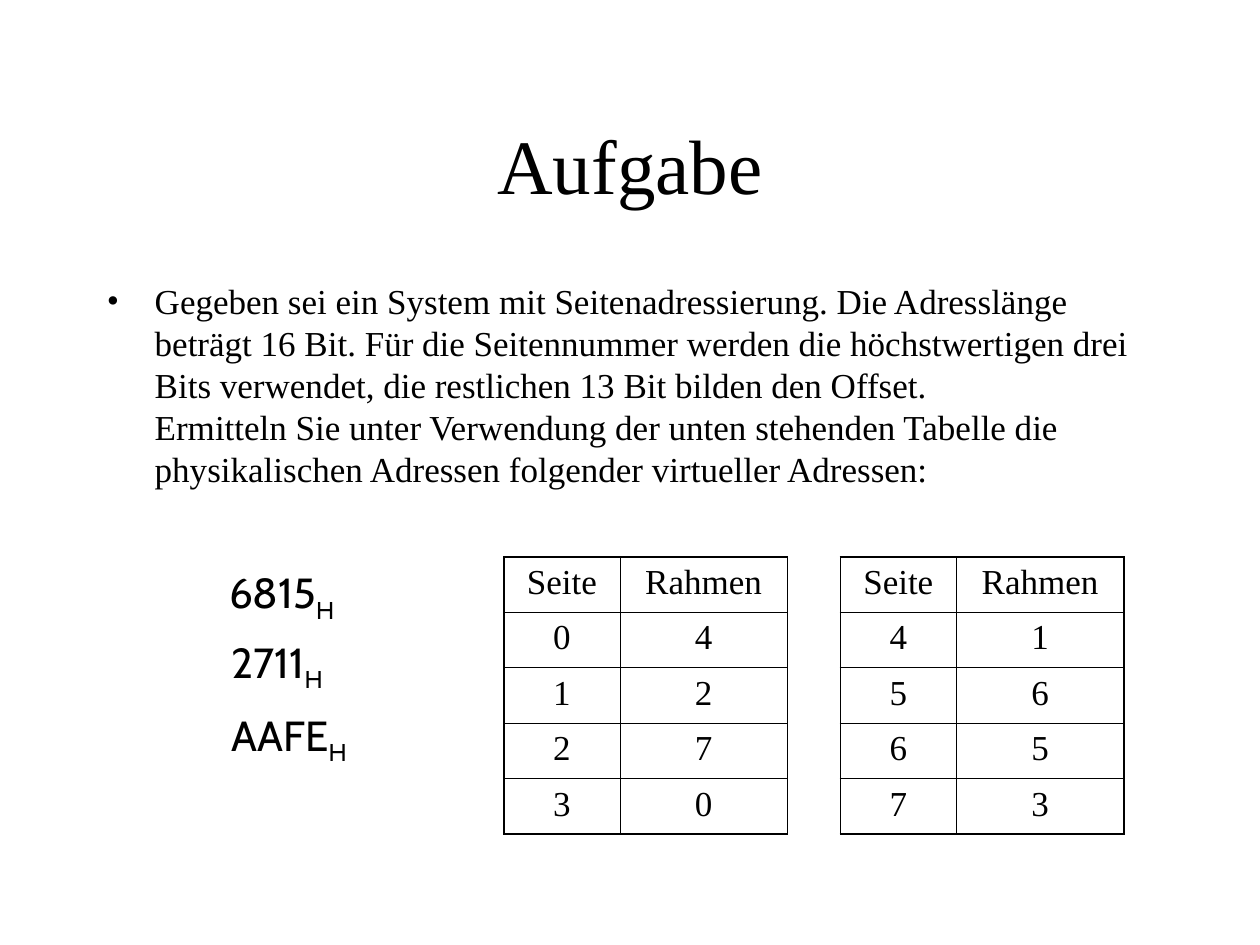
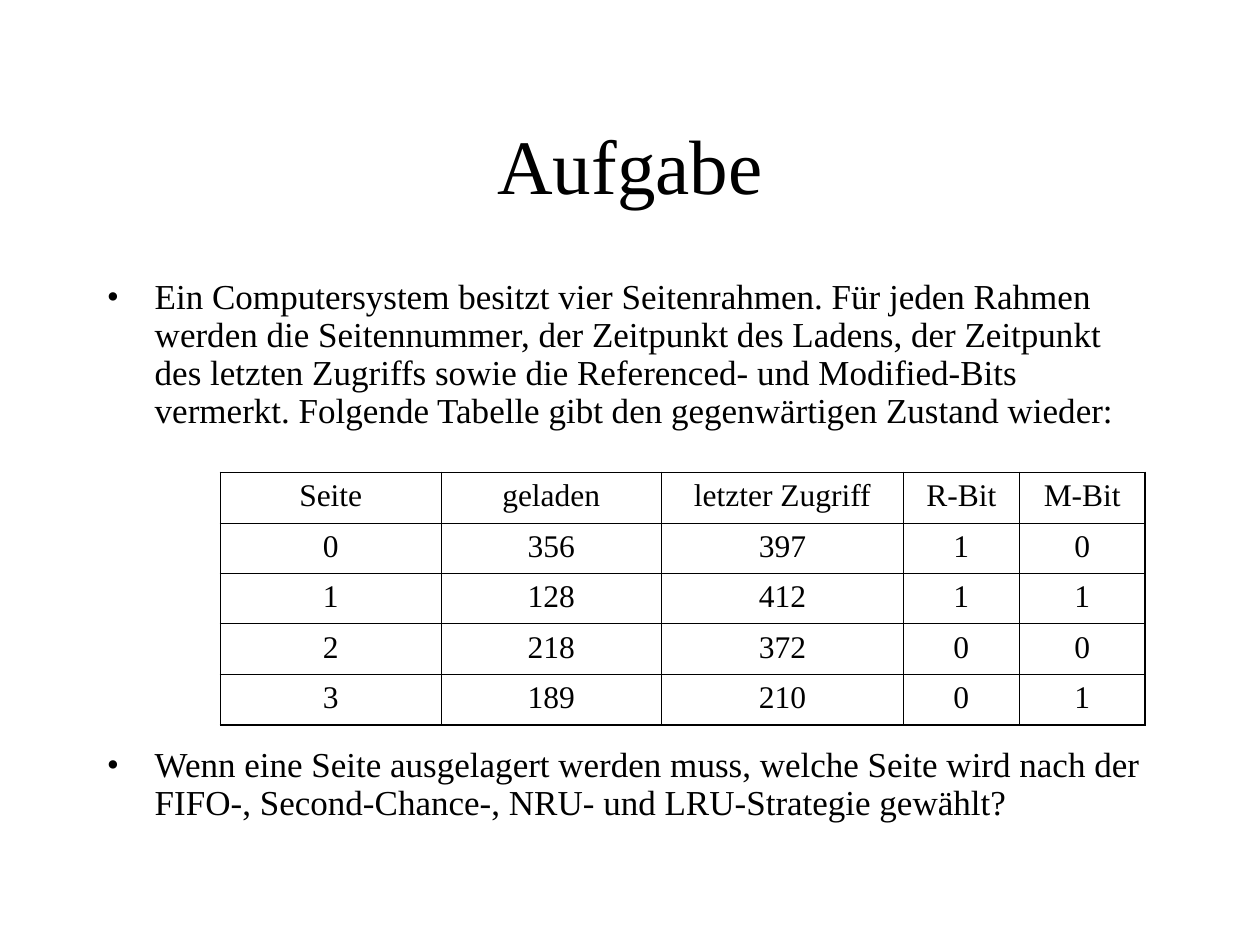
from lxml.etree import SubElement
from pptx import Presentation
from pptx.dml.color import RGBColor
from pptx.enum.text import MSO_ANCHOR as Anchor, MSO_AUTO_SIZE as AutoSize, PP_ALIGN as Align
from pptx.oxml import parse_xml
from pptx.oxml.ns import nsdecls, qn
from pptx.util import Inches, Pt

BLACK = RGBColor(0, 0, 0)
WHITE = RGBColor(255, 255, 255)
SERIF = "Times New Roman"
SANS = "Cabin"
OUTER_LINE = Pt(1.08)
INNER_LINE = Pt(0.45)


class Deck:
    def __init__(self):
        self.presentation = Presentation()
        self.presentation.slide_width = Inches(10)
        self.presentation.slide_height = Inches(7.5)
        self.slide = None

    def add_slide(self, title):
        self.slide = self.presentation.slides.add_slide(self.presentation.slide_layouts[6])
        self.slide.background.fill.solid()
        self.slide.background.fill.fore_color.rgb = WHITE
        frame = self.add_text_frame(0.75, 0.67, 8.5, 1.25)
        frame.vertical_anchor = Anchor.MIDDLE
        frame.text = title
        frame.paragraphs[0].alignment = Align.CENTER
        self.style_runs(frame.paragraphs[0], 44)

    def add_text_frame(self, left, top, width, height):
        shape = self.slide.shapes.add_textbox(
            Inches(left), Inches(top), Inches(width), Inches(height))
        shape.text_frame.word_wrap = True
        return shape.text_frame

    def style_runs(self, paragraph, size, font=SERIF):
        for run in paragraph.runs:
            run.font.size = Pt(size)
            run.font.name = font
            run.font.color.rgb = BLACK

    def add_bullets(self, bullets, line_spacing=1.0):
        frame = self.add_text_frame(0.75, 2.17, 8.5, 4.5)
        for index, (text, space_before) in enumerate(bullets):
            paragraph = frame.add_paragraph() if index else frame.paragraphs[0]
            paragraph.text = text
            paragraph.line_spacing = line_spacing
            paragraph.space_before = Pt(space_before)
            self.style_runs(paragraph, 20)
            properties = paragraph._p.get_or_add_pPr()
            properties.set("marL", str(Inches(0.38)))
            properties.set("indent", str(-Inches(0.38)))
            SubElement(properties, qn("a:buFont"), typeface=SERIF)
            SubElement(properties, qn("a:buChar"), char="•")

    def add_hex_address(self, left, top, width, digits):
        frame = self.add_text_frame(left, top, width, 0.56)
        frame.word_wrap = False
        frame.auto_size = AutoSize.SHAPE_TO_FIT_TEXT
        paragraph = frame.paragraphs[0]
        paragraph.text = digits
        subscript = paragraph.add_run()
        subscript.text = "H"
        self.style_runs(paragraph, 24, SANS)
        subscript.font._element.set("baseline", "-25000")

    def add_table(self, left, top, column_widths, row_height, rows, size):
        table = self.slide.shapes.add_table(
            len(rows), len(column_widths), Inches(left), Inches(top),
            Inches(sum(column_widths)), Inches(row_height * len(rows))).table
        table.first_row = table.horz_banding = False
        for column, width in zip(table.columns, column_widths):
            column.width = Inches(width)
        last_row, last_column = len(rows) - 1, len(column_widths) - 1
        for row_index, values in enumerate(rows):
            table.rows[row_index].height = Inches(row_height)
            for column_index, value in enumerate(values):
                cell = table.cell(row_index, column_index)
                cell.text_frame.text = value
                paragraph = cell.text_frame.paragraphs[0]
                paragraph.alignment = Align.CENTER
                paragraph.space_before = Pt(size / 4)
                self.style_runs(paragraph, size)
                cell.fill.background()
                self.set_borders(cell, {
                    "L": column_index == 0, "R": column_index == last_column,
                    "T": row_index == 0, "B": row_index == last_row})

    def set_borders(self, cell, outer_sides):
        properties = cell._tc.get_or_add_tcPr()
        for index, (side, is_outer) in enumerate(outer_sides.items()):
            width = OUTER_LINE if is_outer else INNER_LINE
            properties.insert(index, parse_xml(
                f'<a:ln{side} {nsdecls("a")} w="{width}"><a:solidFill>'
                f'<a:srgbClr val="{BLACK}"/></a:solidFill></a:ln{side}>'))


def build_address_slide(deck):
    deck.add_slide("Aufgabe")
    deck.add_bullets([(
        "Gegeben sei ein System mit Seitenadressierung. Die Adresslänge beträgt 16 Bit. "
        "Für die Seitennummer werden die höchstwertigen drei Bits verwendet, die restlichen "
        "13 Bit bilden den Offset.\n"
        "Ermitteln Sie unter Verwendung der unten stehenden Tabelle die physikalischen "
        "Adressen folgender virtueller Adressen:", 5)])
    frames = "42701653"
    page_rows = [(str(page), frame) for page, frame in enumerate(frames)]
    for left, half in ((4, page_rows[:4]), (6.67, page_rows[4:])):
        deck.add_table(left, 4.42, (0.92, 1.33), 0.44, [("Seite", "Rahmen"), *half], 20)
    deck.add_hex_address(1.72, 4.45, 1.1, "6815")
    deck.add_hex_address(1.74, 5, 1.1, "2711")
    deck.add_hex_address(1.74, 5.58, 1.13, "AAFE")


def build_replacement_slide(deck):
    deck.add_slide("Aufgabe")
    deck.add_bullets([
        ("Ein Computersystem besitzt vier Seitenrahmen. Für jeden Rahmen werden die "
         "Seitennummer, der Zeitpunkt des Ladens, der Zeitpunkt des letzten Zugriffs sowie "
         "die Referenced- und Modified-Bits vermerkt. Folgende Tabelle gibt den "
         "gegenwärtigen Zustand wieder:", 5),
        ("Wenn eine Seite ausgelagert werden muss, welche Seite wird nach der FIFO-, "
         "Second-Chance-, NRU- und LRU-Strategie gewählt?", 181)], line_spacing=0.9)
    deck.add_table(1.75, 3.75, (1.75, 1.75, 1.92, 0.92, 1), 0.4, [
        ("Seite", "geladen", "letzter Zugriff", "R-Bit", "M-Bit"),
        ("0", "356", "397", "1", "0"),
        ("1", "128", "412", "1", "1"),
        ("2", "218", "372", "0", "0"),
        ("3", "189", "210", "0", "1")], 18)


def main():
    deck = Deck()
    build_address_slide(deck)
    build_replacement_slide(deck)
    deck.presentation.save("out.pptx")


if __name__ == "__main__":
    main()
